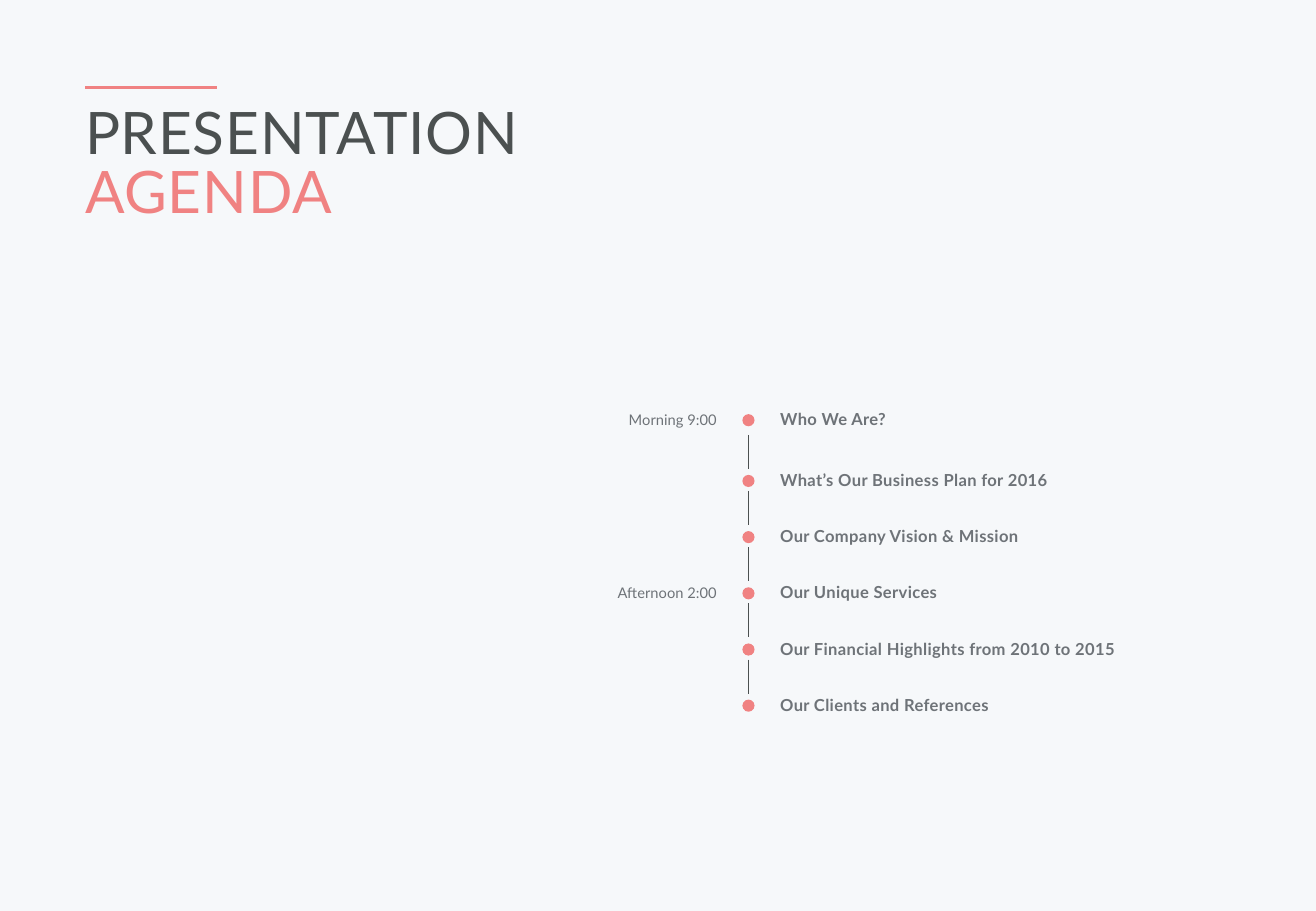
from pptx import Presentation
from pptx.dml.color import RGBColor
from pptx.enum.shapes import MSO_CONNECTOR, MSO_SHAPE
from pptx.enum.text import MSO_ANCHOR, MSO_AUTO_SIZE, PP_ALIGN
from pptx.oxml.ns import qn
from pptx.util import Inches, Pt
from lxml import etree

LEFT, RIGHT = PP_ALIGN.LEFT, PP_ALIGN.RIGHT
STRAIGHT, OVAL = MSO_CONNECTOR.STRAIGHT, MSO_SHAPE.OVAL
TOP, NO_FIT = MSO_ANCHOR.TOP, MSO_AUTO_SIZE.NONE

CORAL, DARK, GREY, PALE = "F08282", "4B5050", "6E7378", "F6F8FA"
MARGIN = 0.7
CONTENT_WIDTH = 9.43
AXIS = 6.16
DOT = 0.1
FIRST_ROW, SECOND_ROW, ROW_STEP = 3.37, 3.87, 0.4625
LINK_LENGTH = 0.28
TOPIC_LEFT, TOPIC_WIDTH = 6.42, 3.71
TIME_LEFT, TIME_WIDTH = 4.78, 1.12

AGENDA = [
    ("Morning 9:00", "Who We Are?"),
    ("", "What’s Our Business Plan for 2016"),
    ("", "Our Company Vision & Mission"),
    ("Afternoon 2:00", "Our Unique Services"),
    ("", "Our Financial Highlights from 2010 to 2015"),
    ("", "Our Clients and References"),
]


def write(box, lines, size, bold=False, align=LEFT, tracking=0, leading=None):
    frame = box.text_frame
    frame.word_wrap = True
    frame.auto_size = NO_FIT
    frame.vertical_anchor = TOP
    frame.margin_left = frame.margin_right = 0
    frame.margin_top = frame.margin_bottom = 0
    for index, (text, color) in enumerate(lines):
        para = frame.add_paragraph() if index else frame.paragraphs[0]
        para.alignment = align
        para.space_before = Pt(0)
        if leading:
            para.line_spacing = Pt(leading)
        span = para.add_run()
        span.text = text
        span.font.name = "Lato"
        span.font.size = Pt(size)
        span.font.bold = bold
        span.font.color.rgb = RGBColor.from_string(color)
        if tracking:
            span.font._element.set("spc", str(tracking))


def draw_line(start_x, start_y, end_x, end_y, color, weight):
    line = page.shapes.add_connector(
        STRAIGHT, Inches(start_x), Inches(start_y), Inches(end_x), Inches(end_y))
    line.line.color.rgb = RGBColor.from_string(color)
    line.line.width = Pt(weight)
    etree.SubElement(line._element.spPr, qn("a:effectLst"))


deck = Presentation()
deck.slide_width, deck.slide_height = Inches(10.83), Inches(7.5)
page = deck.slides.add_slide(deck.slide_layouts[5])
page.background.fill.solid()
page.background.fill.fore_color.rgb = RGBColor.from_string(PALE)

title = page.shapes.title
title.left, title.top = Inches(MARGIN), Inches(0.89)
title.width, title.height = Inches(CONTENT_WIDTH), Inches(0.98)
write(title, [("PRESENTATION", DARK), ("AGENDA", CORAL)], 34.7, tracking=50, leading=34.7)
draw_line(MARGIN, 0.72, 1.79, 0.72, CORAL, 2.25)

for row, (time, topic) in enumerate(AGENDA):
    top = SECOND_ROW + (row - 1) * ROW_STEP if row else FIRST_ROW
    topic_box = page.shapes.add_textbox(
        Inches(TOPIC_LEFT), Inches(top), Inches(TOPIC_WIDTH), Inches(0.16))
    write(topic_box, [(topic, GREY)], 9.8, bold=True, tracking=20)

    if time:
        time_box = page.shapes.add_textbox(
            Inches(TIME_LEFT), Inches(top + 0.01), Inches(TIME_WIDTH), Inches(0.15))
        write(time_box, [(time, GREY)], 8.7, align=RIGHT)

    dot = page.shapes.add_shape(
        OVAL, Inches(AXIS - DOT / 2), Inches(top + 0.04), Inches(DOT), Inches(DOT))
    dot.shadow.inherit = False
    dot.fill.solid()
    dot.fill.fore_color.rgb = RGBColor.from_string(CORAL)
    dot.line.fill.background()

    if row:
        link_end = top - 0.01
        draw_line(AXIS, link_end - LINK_LENGTH, AXIS, link_end, DARK, 0.75)

deck.save("out.pptx")
